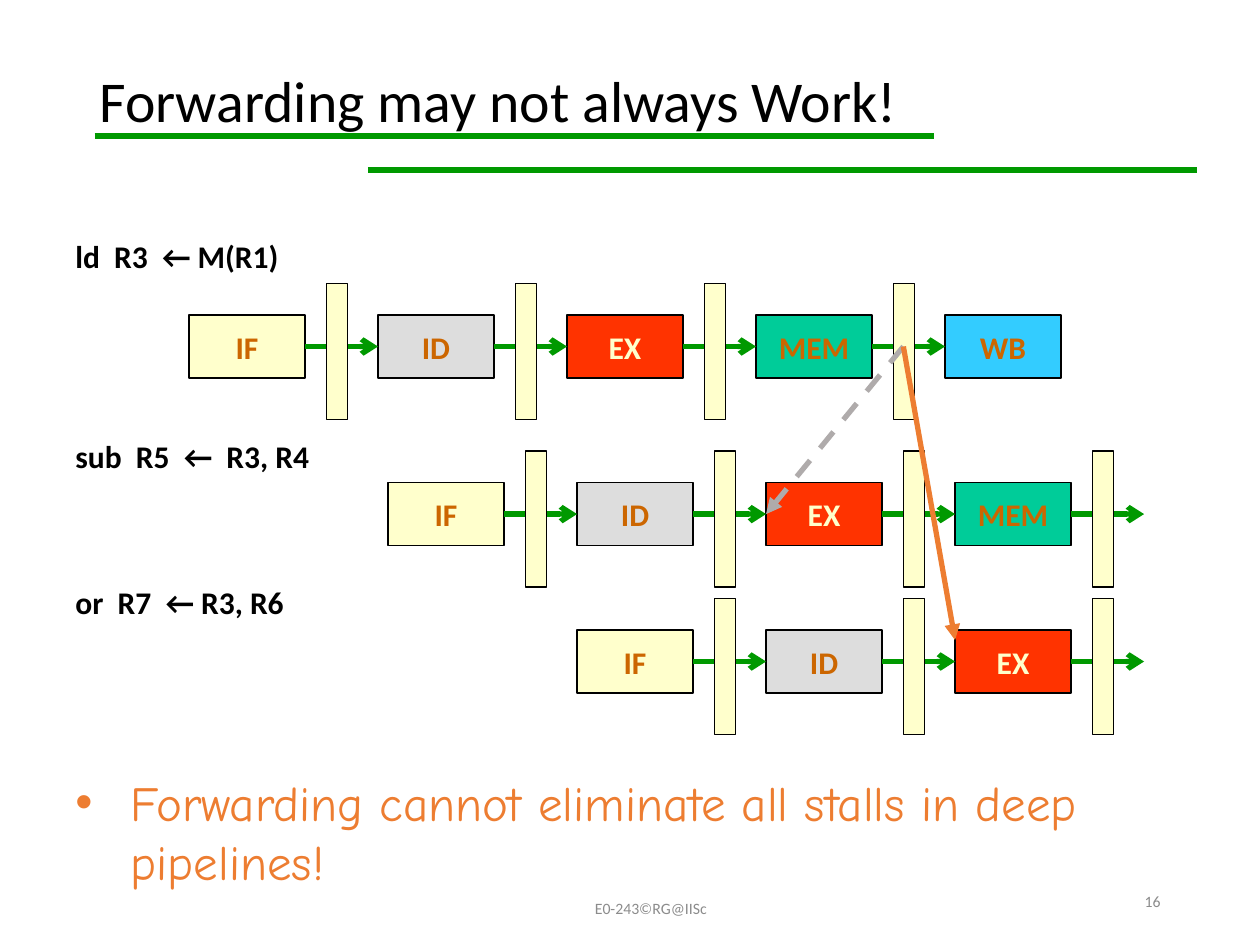
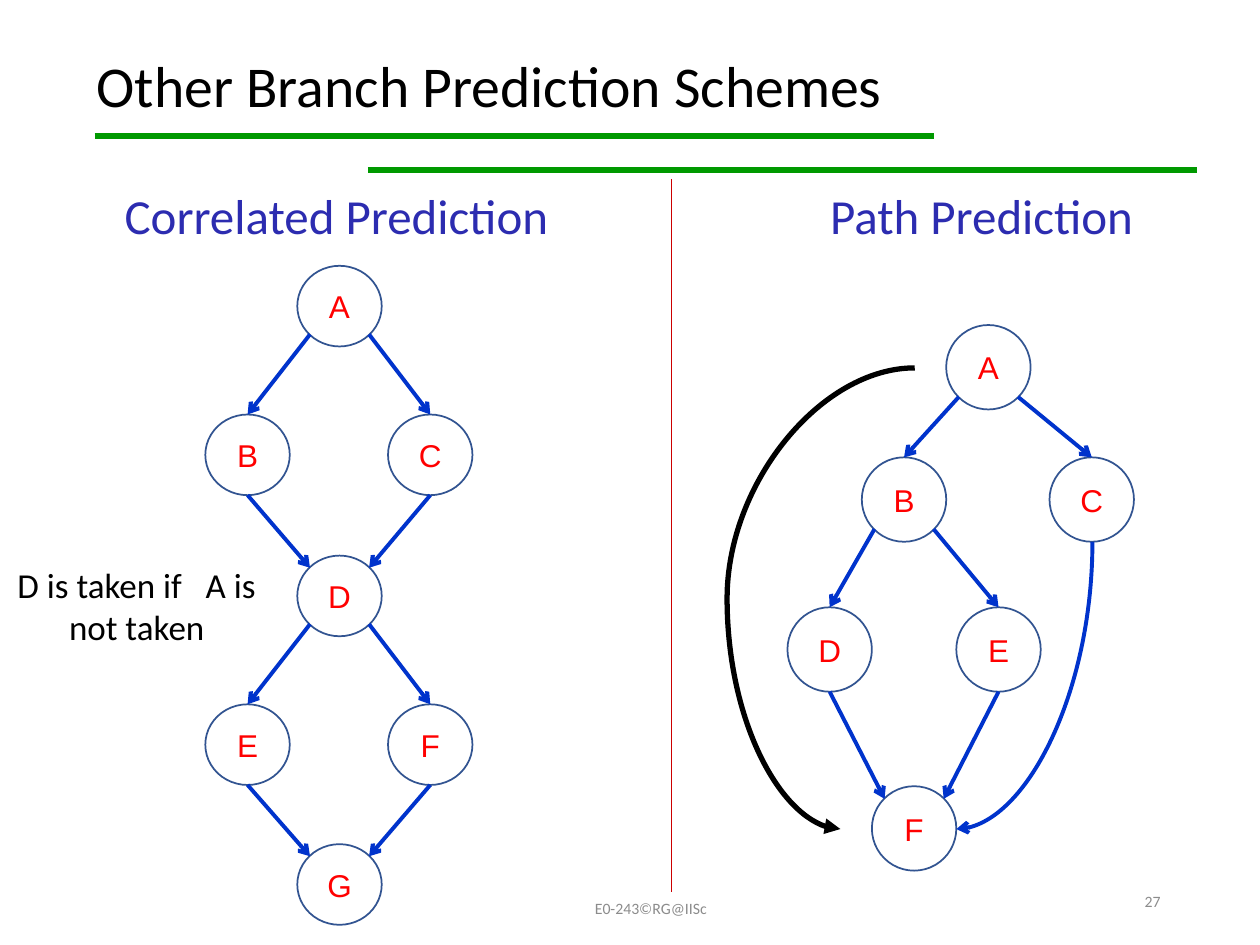
"""Two lecture slides on pipeline forwarding and branch prediction."""
from dataclasses import dataclass

from pptx import Presentation
from pptx.dml.color import RGBColor
from pptx.enum import dml, shapes, text
from pptx.oxml.ns import qn
from pptx.util import Inches, Pt
from lxml import etree


@dataclass(frozen=True)
class Theme:
    """Colours, fonts and type sizes of the deck."""
    font: str = "Calibri"
    hand: str = "Comic Neue"
    sans: str = "Arial"
    ink: str = "000000"
    rule: str = "009900"
    mute: str = "8C8C8C"
    cream: str = "FFFFCC"
    brown: str = "CC6600"
    warm: str = "ED7D31"
    gray: str = "AFABAB"
    head: str = "2C2CB0"
    link: str = "0033CC"
    ring: str = "325491"
    red: str = "FF0000"
    split: str = "CC0000"
    title: int = 33
    large: int = 28
    note: int = 20
    body: int = 18
    small: int = 9


T = Theme()
FILLS = {"IF": T.cream, "ID": "DDDDDD", "EX": "FF3300", "MEM": "00CC99", "WB": "33CCFF"}
STAGE_W, STAGE_H, PITCH = 0.92, 0.5, 1.5
LATCH_W, LATCH_H, LATCH_GAP = 0.17, 1.08, 0.17
ALIGN = {"l": text.PP_ALIGN.LEFT, "c": text.PP_ALIGN.CENTER, "r": text.PP_ALIGN.RIGHT}


def rgb(code):
    """Turn a hex code into a colour."""
    return RGBColor.from_string(code)


def write(shape, words, size=T.body, color=T.ink, font=T.font, bold=False,
          align="l", middle=False, wrap=True, lead=None):
    """Put formatted text into a shape and return its paragraph."""
    frame = shape.text_frame
    frame.word_wrap = wrap
    frame.vertical_anchor = text.MSO_ANCHOR.MIDDLE if middle else text.MSO_ANCHOR.TOP
    par = frame.paragraphs[0]
    par.alignment = ALIGN[align]
    if lead:
        par.line_spacing = lead
    run = par.add_run()
    run.text = words
    run.font.name, run.font.size, run.font.bold = font, Pt(size), bold
    run.font.color.rgb = rgb(color)
    return par


def label(slide, box, words, **style):
    """Add a text box."""
    return write(slide.shapes.add_textbox(*map(Inches, box)), words, **style)


def block(pool, kind, box, fill, line, width):
    """Add a flat preset shape."""
    shape = pool.add_shape(kind, *map(Inches, box))
    shape.shadow.inherit = False
    if fill:
        shape.fill.solid()
        shape.fill.fore_color.rgb = rgb(fill)
    else:
        shape.fill.background()
    shape.line.color.rgb = rgb(line)
    shape.line.width = Pt(width)
    return shape


def wire(pool, start, end, color, width, tip=None, dash=False, curve=False):
    """Add a connector, with an arrowhead when a tip is named."""
    kind = shapes.MSO_CONNECTOR.CURVE if curve else shapes.MSO_CONNECTOR.STRAIGHT
    line = pool.add_connector(kind, *map(Inches, (*start, *end)))
    line.line.color.rgb = rgb(color)
    line.line.width = Pt(width)
    if dash:
        line.line.dash_style = dml.MSO_LINE.DASH
    props = line._element.spPr
    if tip:
        etree.SubElement(props.find(qn("a:ln")), qn("a:tailEnd"), type=tip)
    etree.SubElement(props, qn("a:effectLst"))
    return line


def bend(pool, box, turn, preset, color, width, tip, flip=False, adj=None):
    """Add a turned curve whose frame before turning is the box."""
    x, y, w, h = box
    line = wire(pool, (x, y), (x + w, y + h), color, width, tip, curve=True)
    props = line._element.spPr
    frame, geom = props.find(qn("a:xfrm")), props.find(qn("a:prstGeom"))
    frame.set("rot", str(turn * 60000))
    if flip:
        frame.set("flipV", "1")
    geom.set("prst", preset)
    if adj:
        guides = geom.find(qn("a:avLst"))
        if guides is None:
            guides = etree.SubElement(geom, qn("a:avLst"))
        etree.SubElement(guides, qn("a:gd"), name="adj1", fmla=f"val {adj}")
    return line


def base(deck, title, box, number):
    """Add a slide with its rules, title and footer."""
    slide = deck.slides.add_slide(deck.slide_layouts[6])
    for x, y in ((0.75, 1.08), (2.92, 1.35), (0.83, 1.08)):
        wire(slide.shapes, (x, y), (x + 6.58, y), T.rule, 3)
    label(slide, box, title, size=T.title, middle=True, lead=0.9)
    foot = dict(size=T.small, color=T.mute, middle=True)
    label(slide, (3.58, 7.08, 3.17, 0.25), "E0-243©RG@IISc", align="c", **foot)
    label(slide, (7.06, 6.95, 2.25, 0.4), str(number), align="r", **foot)
    return slide


def pipe(slide, left, top, names, tail=True):
    """Draw a row of stages with latches between; return stages by name."""
    pool = slide.shapes.add_group_shape().shapes
    rect = shapes.MSO_SHAPE.RECTANGLE
    stages = []
    for i, name in enumerate(names):
        box = (left + i * PITCH, top, STAGE_W, STAGE_H)
        stage = block(pool, rect, box, FILLS[name], T.ink, 0.75)
        write(stage, name, color=T.cream if name == "EX" else T.brown,
              bold=True, align="c", middle=True, wrap=False)
        stages.append(stage)
    mid = top + STAGE_H / 2
    for i in range(len(names) if tail else len(names) - 1):
        right = left + i * PITCH + STAGE_W
        arrow = wire(pool, (right, mid), (left + (i + 1) * PITCH, mid), T.rule, 3, "arrow")
        arrow.begin_connect(stages[i], 3)
        if i + 1 < len(stages):
            arrow.end_connect(stages[i + 1], 1)
        latch = (right + LATCH_GAP, top - 0.25, LATCH_W, LATCH_H)
        block(pool, rect, latch, T.cream, T.ink, 0.75)
    return dict(zip(names, stages))


def graph(slide, left, top, size, spots, forks, joins):
    """Draw round nodes and the links that part from or meet at them."""
    pool = slide.shapes.add_group_shape().shapes
    w, h = size
    nodes = {}
    for name, (x, y) in spots.items():
        box = (left + x, top + y, w, h)
        nodes[name] = block(pool, shapes.MSO_SHAPE.OVAL, box, None, T.ring, 1)
        write(nodes[name], name, color=T.red, font=T.sans, align="c", middle=True, wrap=False)

    def at(name, fx, fy):
        """Give a point of a node by fractions of its box."""
        x, y = spots[name]
        return left + x + fx * w, top + y + fy * h

    def side(name, other):
        """Give the fraction on the side of a node that faces another."""
        return 0.15 if spots[other][0] < spots[name][0] else 0.85

    for a, b in forks:
        arrow = wire(pool, at(a, side(a, b), 0.85), at(b, 0.5, 0), T.link, 2.25, "arrow")
        arrow.end_connect(nodes[b], 0)
    for a, b in joins:
        wire(pool, at(a, 0.5, 1), at(b, side(b, a), 0.15), T.link, 2.25, "arrow")
    return pool


def forward(deck):
    """Build the slide on the limits of forwarding."""
    slide = base(deck, "Forwarding may not always Work!", (0.69, 0.4, 8.62, 0.85), 16)
    for y, words in ((1.83, "ld  R3  ← M(R1)"), (3.42, "sub  R5  ←  R3, R4"),
                     (4.58, "or  R7  ← R3, R6")):
        label(slide, (0.5, y, 3.25, 0.5), words, bold=True)
    pipe(slide, 1.5, 2.5, ("IF", "ID", "EX", "MEM", "WB"), tail=False)
    pipe(slide, 4.58, 5, ("IF", "ID", "EX"))
    sub = pipe(slide, 3.08, 3.83, ("IF", "ID", "EX", "MEM"))
    load = (7.17, 2.75)
    late = wire(slide.shapes, load, (6.08, 4.08), T.gray, 3, "triangle", dash=True)
    late.end_connect(sub["EX"], 1)
    wire(slide.shapes, load, (7.58, 5.08), T.warm, 3, "triangle")
    par = label(slide, (0, 6.08, 9.67, 1.04),
                "Forwarding cannot eliminate all stalls in deep pipelines!",
                size=T.large, color=T.warm, font=T.hand)
    props = par._p.get_or_add_pPr()
    props.set("marL", str(Inches(0.94)))
    props.set("indent", str(Inches(-0.44)))
    etree.SubElement(props, qn("a:buFont"), typeface=T.sans)
    etree.SubElement(props, qn("a:buChar"), char="•")


def branch(deck):
    """Build the slide on branch prediction schemes."""
    slide = base(deck, "Other Branch Prediction Schemes", (0.67, 0.33, 9.08, 0.75), 27)
    tree = graph(slide, 6.25, 2.58, (0.67, 0.67),
                 {"A": (1.26, 0), "B": (0.59, 1.05), "C": (2.08, 1.05),
                  "D": (0, 2.24), "E": (1.34, 2.24), "F": (0.67, 3.66)},
                 ("AB", "AC", "BD", "BE"), ("DF", "EF"))
    bend(tree, (6.99, 4.9, 2.28, 1.08), 90, "curvedConnector2", T.link, 2.25, "arrow")
    graph(slide, 1.63, 2.11, (0.67, 0.64),
          {"A": (0.73, 0), "B": (0, 1.18), "C": (1.45, 1.18), "D": (0.73, 2.3),
           "E": (0, 3.48), "F": (1.45, 3.48), "G": (0.73, 4.59)},
          ("AB", "AC", "DE", "DF"), ("BD", "CD", "EG", "FG"))
    for x, w, words in ((0.25, 4.84, "Correlated Prediction"), (5.75, 4.08, "Path Prediction")):
        label(slide, (x, 1.42, w, 0.67), words, size=T.large, color=T.head, align="c")
    wire(slide.shapes, (5.33, 1.42), (5.33, 7.08), T.split, 0.75)
    bend(slide.shapes, (6.67, 2.92, 0.59, 3.66), 180, "curvedConnector3",
         T.ink, 3, "triangle", flip=True, adj=252400)
    label(slide, (0, 4.42, 2.17, 0.67), "D is taken if   A is not taken",
          size=T.note, align="c")


def main():
    """Build and save the deck."""
    deck = Presentation()
    deck.slide_width, deck.slide_height = Inches(10), Inches(7.5)
    forward(deck)
    branch(deck)
    deck.save("out.pptx")


if __name__ == "__main__":
    main()
